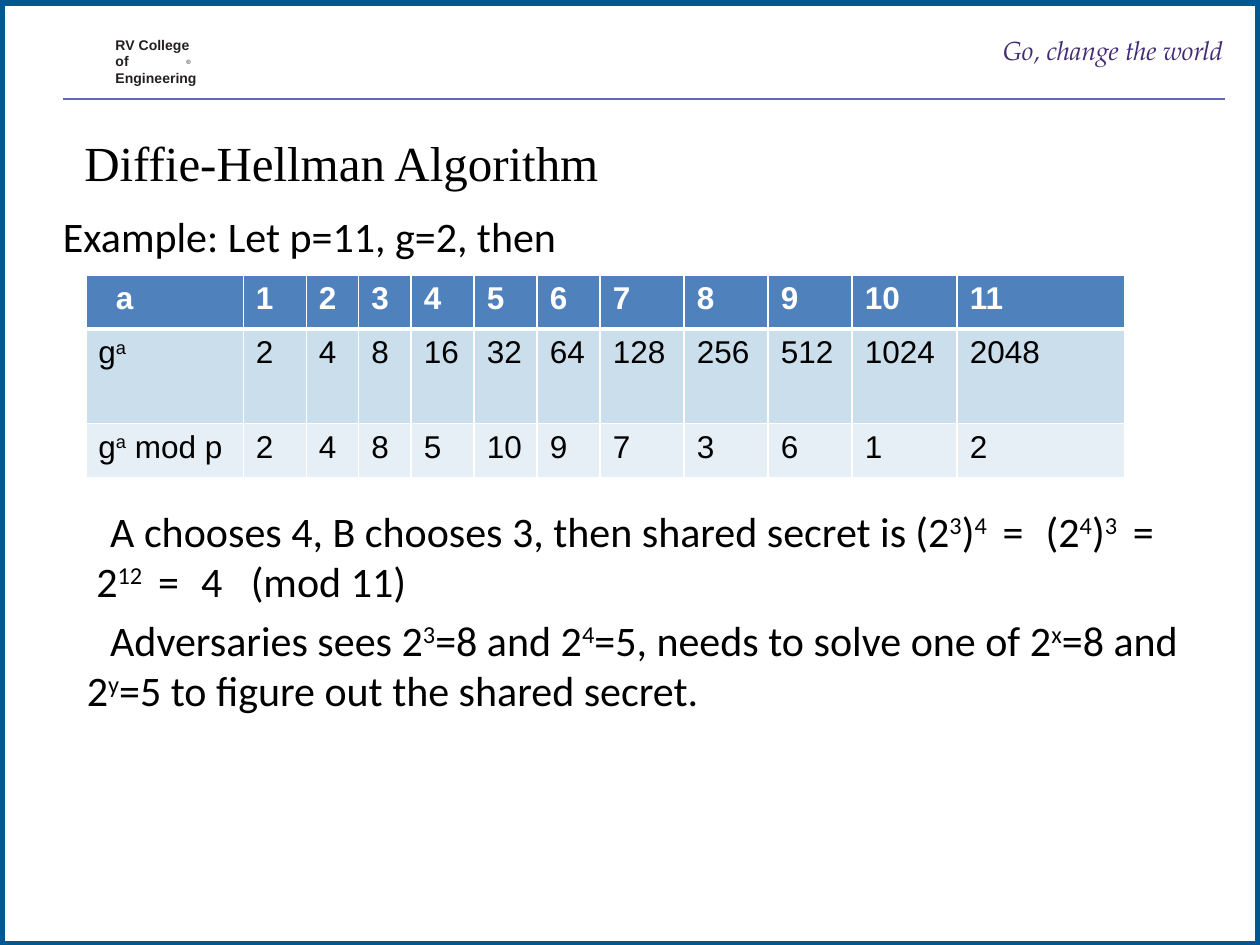
import pptx
import pptx.dml.color
import pptx.enum.shapes
import pptx.enum.text
import pptx.oxml.ns
import pptx.util
from lxml import etree

Pt = pptx.util.Pt
BLACK, WHITE = "000000", "FFFFFF"

HEADING = "Diffie-Hellman Algorithm"
MOTTO = "Go, change the world"
COLLEGE = ["RV College of", "Engineering"]
EXAMPLE = "Example: Let p=11, g=2, then"

# Text between carets is superscript.
SECRET = ("A chooses 4, B chooses 3, then shared secret is\t(2^3^)^4^ = ^^(2^4^)^3^"
          " = ^^2^12^ = ^^4^^ ^^(mod 11)")
ADVERSARY = ("Adversaries sees 2^3^=8 and 2^4^=5, needs to solve one of "
             "2^x^=8 and 2^y^=5 to figure out the shared secret.")

ROWS = [
    ["a", "1", "2", "3", "4", "5", "6", "7", "8", "9", "10", "11"],
    ["g^a^", "2", "4", "8", "16", "32", "64", "128", "256", "512", "1024", "2048"],
    ["g^a^ mod p", "2", "4", "8", "5", "10", "9", "7", "3", "6", "1", "2"],
]
ROW_FILLS = ["4F81BD", "CBDEEC", "E7EFF6"]
ROW_HEIGHTS = [31, 54, 31]
COL_WIDTHS = [90, 36, 30, 30, 36, 36, 36, 48, 48, 48, 60, 96]


def rgb(value):
    return pptx.dml.color.RGBColor.from_string(value)


def style(font, name, size, color, bold=False, italic=False):
    font.name, font.size, font.bold, font.italic = name, Pt(size), bold, italic
    font.color.rgb = rgb(color)


def write(p, text, *look, **flags):
    for i, part in enumerate(text.split("^")):
        if not part:
            continue
        r = p.add_run()
        r.text = part
        style(r.font, *look, **flags)
        if i % 2:
            r.font._element.set("baseline", "30000")
        elif part.strip() in ("", "="):
            r.font._element.set("spc", str(1080 // len(part)))


def indent(p, left, first=0, tab=None):
    pPr = p._p.get_or_add_pPr()
    pPr.set("marL", str(Pt(left)))
    pPr.set("indent", str(Pt(first)))
    if tab:
        tabs = etree.SubElement(pPr, pptx.oxml.ns.qn("a:tabLst"))
        etree.SubElement(tabs, pptx.oxml.ns.qn("a:tab"), pos=str(Pt(tab)), algn="l")


def add_text(s, box, lines, *look, **flags):
    tf = s.shapes.add_textbox(*map(Pt, box)).text_frame
    tf.word_wrap = True
    tf.margin_left = tf.margin_top = tf.margin_right = tf.margin_bottom = 0
    for i, line in enumerate(lines):
        p = tf.add_paragraph() if i else tf.paragraphs[0]
        write(p, line, *look, **flags)
    return tf.paragraphs


def border(cell, side, width):
    tcPr = cell._tc.get_or_add_tcPr()
    ln = etree.SubElement(tcPr, pptx.oxml.ns.qn("a:" + side), w=str(Pt(width)))
    fill = etree.SubElement(ln, pptx.oxml.ns.qn("a:solidFill"))
    etree.SubElement(fill, pptx.oxml.ns.qn("a:srgbClr"), val=WHITE)


def add_frame(s):
    sp = s.shapes.add_shape(pptx.enum.shapes.MSO_SHAPE.RECTANGLE, 0, Pt(0.5), Pt(720), Pt(540))
    sp.shadow.inherit = False
    sp.fill.solid()
    sp.fill.fore_color.rgb = rgb(WHITE)
    sp.line.color.rgb = rgb("005893")
    sp.line.width = Pt(6)

    rule = s.shapes.add_connector(pptx.enum.shapes.MSO_CONNECTOR.STRAIGHT,
                                  Pt(36), Pt(56.8), Pt(699.8), Pt(56.8))
    rule.line.color.rgb = rgb("5E6DB3")
    rule.line.width = Pt(1.25)
    etree.SubElement(rule._element.spPr, pptx.oxml.ns.qn("a:effectLst"))


def add_header(s):
    college = add_text(s, (66, 21.5, 49, 29), COLLEGE, "Arial", 8, "231F20", bold=True)
    for p in college:
        p.line_spacing = Pt(9.1)
    college[1].space_before = Pt(0.7)
    add_text(s, (106.5, 33.2, 5, 5), ["®"], "Arial", 3.5, "231F20")
    motto = add_text(s, (567, 19.5, 132, 36), [MOTTO], "TeX Gyre Pagella", 15, "422C75",
                     italic=True)
    motto[0].alignment = pptx.enum.text.PP_ALIGN.RIGHT


def add_body(s):
    heading = add_text(s, (48.2, 59, 567, 45), [HEADING], "Times New Roman", 28, BLACK)
    heading[0].line_spacing = 1.5
    add_text(s, (36, 120.2, 654, 30), [EXAMPLE], "Calibri", 24, BLACK)
    secret, adversary = add_text(s, (49.7, 288.6, 645, 125), [SECRET, ADVERSARY],
                                 "Calibri", 24, BLACK)
    adversary.space_before = Pt(4.8)
    indent(secret, 5.4, 7.9, tab=576)
    indent(adversary, 0, 13.3)


def add_powers(s):
    table = s.shapes.add_table(len(ROWS), len(COL_WIDTHS), Pt(49), Pt(157),
                               Pt(sum(COL_WIDTHS)), Pt(sum(ROW_HEIGHTS))).table
    for column, width in zip(table.columns, COL_WIDTHS):
        column.width = Pt(width)
    for i, values in enumerate(ROWS):
        table.rows[i].height = Pt(ROW_HEIGHTS[i])
        for j, value in enumerate(values):
            cell = table.cell(i, j)
            write(cell.text_frame.paragraphs[0], value, "Arial", 18,
                  BLACK if i else WHITE, bold=i == 0)
            for side in ("lnL", "lnR", "lnT", "lnB"):
                border(cell, side, 3 if (i, side) in ((0, "lnB"), (1, "lnT")) else 1)
            cell.fill.solid()
            cell.fill.fore_color.rgb = rgb(ROW_FILLS[i])
    indent(table.cell(0, 0).text_frame.paragraphs[0], 10)


def main():
    prs = pptx.Presentation()
    prs.slide_width, prs.slide_height = Pt(720), Pt(540)
    s = prs.slides.add_slide(prs.slide_layouts[6])
    add_frame(s)
    add_header(s)
    add_body(s)
    add_powers(s)
    prs.save("out.pptx")


if __name__ == "__main__":
    main()
